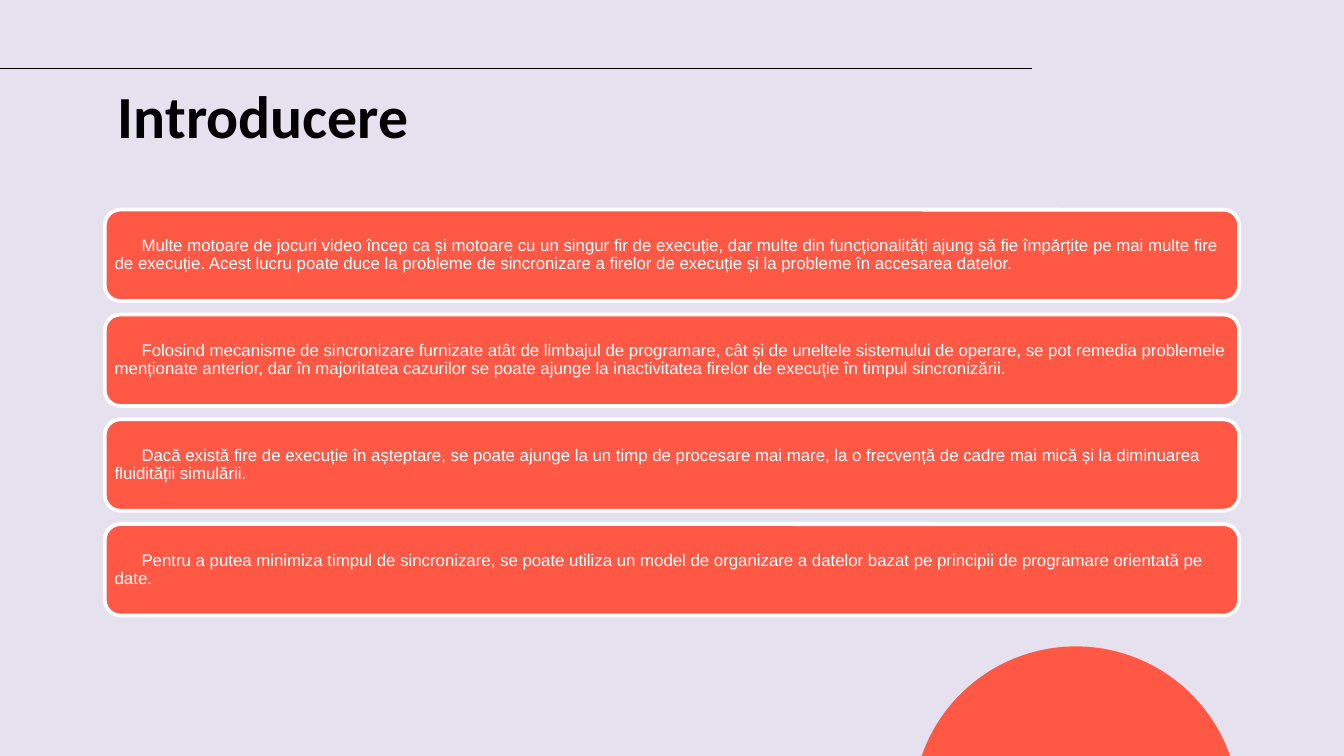
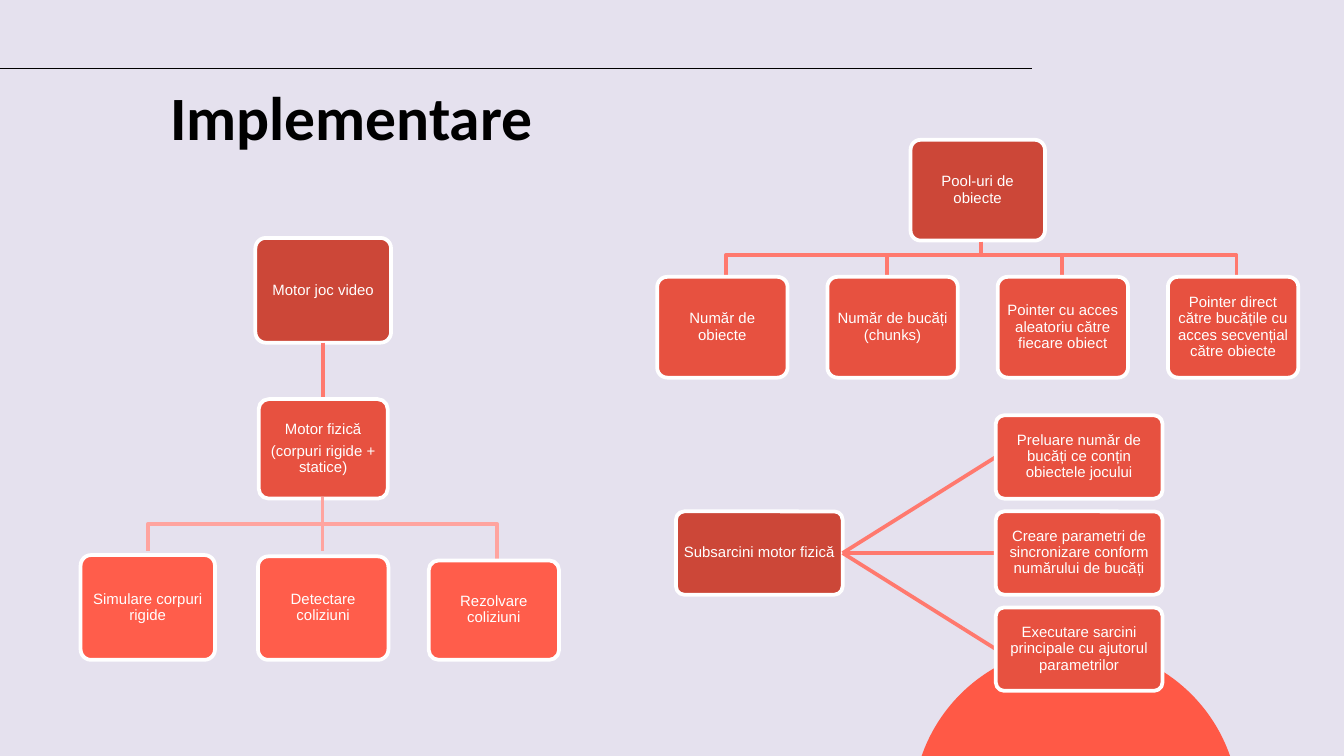
from pptx import Presentation
from pptx import util as u
from pptx.dml.color import RGBColor
from pptx.enum import shapes, text
from pptx.oxml import parse_xml
from pptx.oxml.ns import nsdecls

COLOURS = {
    "background": "E5E1EE",
    "accent": "FF5946",
    "root": "CC4738",
    "branch": "E75140",
    "leaf": "FF5D4B",
    "branch_line": "FF796E",
    "leaf_line": "FFA49F",
    "ink": "000000",
    "white": "FFFFFF",
}

# Square grid: 100 columns by 56.25 rows; every box is (left, top, width, height)
CELL = u.Inches(0.1)
COLUMNS, ROWS = 100, 56.25

PARAGRAPHS = [
    "Multe motoare de jocuri video încep ca și motoare cu un singur fir de execuție, "
    "dar multe din funcționalități ajung să fie împărțite pe mai multe fire de execuție. "
    "Acest lucru poate duce la probleme de sincronizare a firelor de execuție și la "
    "probleme în accesarea datelor.",
    "Folosind mecanisme de sincronizare furnizate atât de limbajul de programare, cât și "
    "de uneltele sistemului de operare, se pot remedia problemele menționate anterior, dar "
    "în majoritatea cazurilor se poate ajunge la inactivitatea firelor de execuție în "
    "timpul sincronizării.",
    "Dacă există fire de execuție în așteptare, se poate ajunge la un timp de procesare "
    "mai mare, la o frecvență de cadre mai mică și la diminuarea fluidității simulării.",
    "Pentru a putea minimiza timpul de sincronizare, se poate utiliza un model de "
    "organizare a datelor bazat pe principii de programare orientată pe date.",
]
POOL_PARTS = [
    "Număr de obiecte",
    "Număr de bucăți (chunks)",
    "Pointer cu acces aleatoriu către fiecare obiect",
    "Pointer direct către bucățile cu acces secvențial către obiecte",
]
SUBTASKS = [
    "Preluare număr de bucăți ce conțin obiectele jocului",
    "Creare parametri de sincronizare conform numărului de bucăți",
    "Executare sarcini principale cu ajutorul parametrilor",
]
# Label, left offset, width, height
ENGINE_STEPS = [
    ("Simulare corpuri rigide", 0, 10, 7.8),
    ("Detectare coliziuni", 13.2, 9.7, 7.7),
    ("Rezolvare coliziuni", 25.9, 9.7, 7.4),
]


def colour(name):
    return RGBColor.from_string(COLOURS[name])


def cells(*lengths):
    return [round(length * CELL) for length in lengths]


def style_line(line, name, points):
    line.color.rgb = colour(name)
    line.width = u.Pt(points)


def write(paragraph, words, size, name, font, bold=False):
    run = paragraph.add_run()
    run.text = words
    run.font.size = u.Pt(size)
    run.font.name = font
    run.font.bold = bold
    run.font.color.rgb = colour(name)


def set_insets(frame, inches):
    frame.margin_left = frame.margin_right = u.Inches(inches)
    frame.margin_top = frame.margin_bottom = u.Inches(inches)
    frame.word_wrap = True


def straight(slide, start, end, name="branch_line", points=2):
    link = slide.shapes.add_connector(
        shapes.MSO_CONNECTOR.STRAIGHT, *cells(*start, *end))
    style_line(link.line, name, points)
    link._element.spPr.append(parse_xml(f"<a:effectLst {nsdecls('a')}/>"))


def elbow(slide, start, end, name):
    """Line that goes down, across at half height, and down again."""
    middle = (start[1] + end[1]) / 2
    corners = [(start[0], middle), (end[0], middle), end]
    builder = slide.shapes.build_freeform(*start, scale=CELL)
    builder.add_line_segments(corners, close=False)
    bend = builder.convert_to_shape()
    bend.shadow.inherit = False
    bend.fill.background()
    style_line(bend.line, name, 2)


def card(slide, box, lines, fill, size=8, inset=0.03, corner=0.1, indent=0):
    """Rounded box with a white edge; indented text is set left."""
    panel = slide.shapes.add_shape(
        shapes.MSO_SHAPE.ROUNDED_RECTANGLE, *cells(*box))
    panel.adjustments[0] = corner
    panel.shadow.inherit = False
    panel.fill.solid()
    panel.fill.fore_color.rgb = colour(fill)
    style_line(panel.line, "white", 2)
    frame = panel.text_frame
    set_insets(frame, inset)
    frame.vertical_anchor = text.MSO_ANCHOR.MIDDLE
    for i, words in enumerate(lines):
        if i:
            paragraph.space_after = u.Pt(3)
        paragraph = frame.add_paragraph() if i else frame.paragraphs[0]
        paragraph.line_spacing = 0.9
        paragraph.alignment = text.PP_ALIGN.LEFT if indent else text.PP_ALIGN.CENTER
        if indent:
            paragraph._p.get_or_add_pPr().set("indent", str(u.Inches(indent)))
        write(paragraph, words, size, "white", "Arial")


def base_slide(prs):
    """Background, corner circle and top rule."""
    slide = prs.slides.add_slide(prs.slide_layouts[6])
    slide.background.fill.solid()
    slide.background.fill.fore_color.rgb = colour("background")
    circle = slide.shapes.add_shape(
        shapes.MSO_SHAPE.OVAL, *cells(67.9, 48.1, 24.3, 24.3))
    circle.shadow.inherit = False
    circle.fill.solid()
    circle.fill.fore_color.rgb = colour("accent")
    circle.line.fill.background()
    straight(slide, (0, 5.1), (76.8, 5.1), "ink", 0.75)
    return slide


def title(slide, box, words, size, align=text.PP_ALIGN.LEFT):
    heading = slide.shapes.add_textbox(*cells(*box)).text_frame
    set_insets(heading, 0.1)
    heading.paragraphs[0].alignment = align
    write(heading.paragraphs[0], words, size, "ink", "Calibri", bold=True)


def paragraph_stack(slide, box, paragraphs):
    left, top, width, height = box
    card_height = 6.8
    pitch = (height - card_height) / (len(paragraphs) - 1)
    for i, words in enumerate(paragraphs):
        card(slide, (left, top + i * pitch, width, card_height), [words],
             "accent", size=9, inset=0.04, corner=0.17, indent=0.2)


def engine_tree(slide, box):
    """Game engine, physics engine and its three steps."""
    left, top, width, height = box
    axis, bottom = left + 18.05, top + height
    root_w, root_h = 10.1, 7.8
    physics_w, physics_h, physics_top = 9.6, 7.4, top + 12
    card(slide, (axis - root_w / 2, top, root_w, root_h), ["Motor joc video"], "root")
    straight(slide, (axis, top + root_h), (axis, physics_top))
    card(slide, (axis - physics_w / 2, physics_top, physics_w, physics_h),
         ["Motor fizică", "(corpuri rigide + statice)"], "branch")
    for words, offset, step_w, step_h in ENGINE_STEPS:
        step_left, step_top = left + offset, bottom - step_h
        elbow(slide, (axis, physics_top + physics_h),
              (step_left + step_w / 2, step_top), "leaf_line")
        card(slide, (step_left, step_top, step_w, step_h), [words], "leaf")


def pool_tree(slide, box, parts):
    """Object pool above a row of its parts."""
    left, top, width, height = box
    axis, root_w = left + width / 2, 10
    part_w, card_h = 9.7, 7.5
    pitch = (width - part_w) / (len(parts) - 1)
    part_top = top + height - card_h
    card(slide, (axis - root_w / 2, top, root_w, card_h), ["Pool-uri de obiecte"], "root")
    for i, words in enumerate(parts):
        part_left = left + i * pitch
        elbow(slide, (axis, top + card_h), (part_left + part_w / 2, part_top),
              "branch_line")
        card(slide, (part_left, part_top, part_w, card_h), [words], "branch")


def subtask_fan(slide, box, subtasks):
    """Physics subtasks fanning out to the right."""
    left, top, width, height = box
    card_w, card_h = 12.4, 6.2
    middle, task_left = top + height / 2, left + width - card_w
    pitch = (height - card_h) / (len(subtasks) - 1)
    card(slide, (left, middle - card_h / 2, card_w, card_h),
         ["Subsarcini motor fizică"], "root", inset=0.01)
    for i, words in enumerate(subtasks):
        task_top = top + i * pitch
        straight(slide, (left + card_w, middle), (task_left, task_top + card_h / 2))
        card(slide, (task_left, task_top, card_w, card_h), [words], "branch", inset=0.01)


def introduction(prs):
    slide = base_slide(prs)
    paragraph_stack(slide, (7.8, 15.6, 84.4, 30.2), PARAGRAPHS)
    title(slide, (7.8, 4.9, 84.4, 6.3), "Introducere", 32)


def implementation(prs):
    slide = base_slide(prs)
    title(slide, (5.5, 4.9, 41.3, 6.3), "Implementare", 33, text.PP_ALIGN.CENTER)
    engine_tree(slide, (6, 17.7, 35.6, 31.4))
    pool_tree(slide, (48.9, 10.4, 47.7, 17.7), POOL_PARTS)
    subtask_fan(slide, (50.3, 30.9, 36.2, 20.5), SUBTASKS)


def main():
    prs = Presentation()
    prs.slide_width, prs.slide_height = cells(COLUMNS, ROWS)
    introduction(prs)
    implementation(prs)
    prs.save("out.pptx")


if __name__ == "__main__":
    main()
